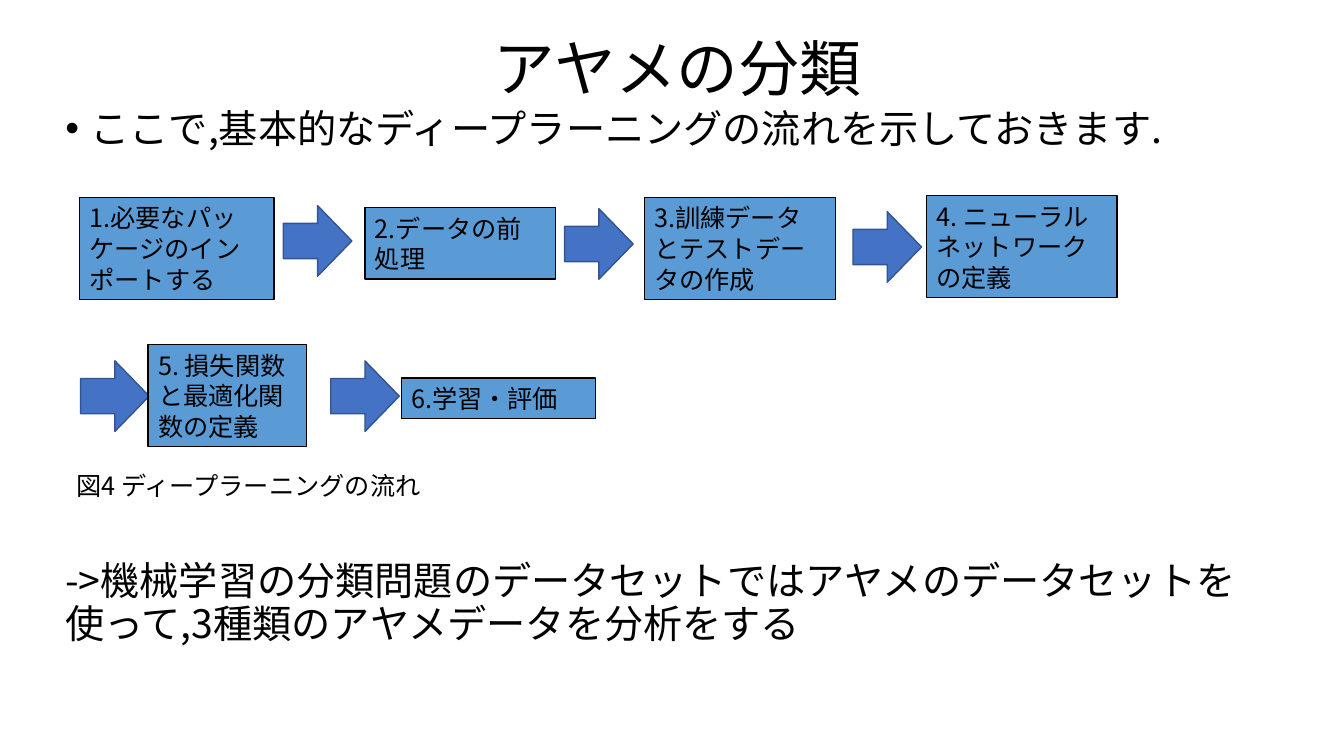
import pptx
import pptx.dml.color
import pptx.enum.shapes
import pptx.enum.text
import pptx.oxml
import pptx.oxml.ns
import pptx.util
from pptx.util import Inches

RGBColor = pptx.dml.color.RGBColor
BLACK = RGBColor(0x00, 0x00, 0x00)
STEP_BLUE = RGBColor(0x5B, 0x9B, 0xD5)
ARROW_BLUE = RGBColor(0x44, 0x72, 0xC4)
ARROW_EDGE = RGBColor(0x32, 0x54, 0x91)
FONT = "Noto Sans CJK JP"
ANCHOR = pptx.enum.text.MSO_ANCHOR
AUTO_SIZE = pptx.enum.text.MSO_AUTO_SIZE
SHAPE = pptx.enum.shapes.MSO_SHAPE

STEPS = [
    ("1.必要なパッケージのインポートする", 0, 0.02, 1.93, 1.01),
    ("2.データの前処理", 2.83, 0.12, 1.89, 0.71),
    ("3.訓練データとテストデータの作成", 5.6, 0.02, 1.9, 1.01),
    ("4. ニューラルネットワークの定義", 8.4, 0, 1.89, 1.01),
    ("5. 損失関数と最適化関数の定義", 0.68, 1.48, 1.57, 1.01),
    ("6.学習・評価", 3.19, 1.81, 1.93, 0.4),
]
ARROWS = [(2.01, 0.11), (4.8, 0.14), (7.66, 0.17), (0, 1.65), (2.48, 1.65)]


def add_text(p, text, size, spacing):
    """Add one run in the slide font with a fixed line pitch."""
    p.alignment = pptx.enum.text.PP_ALIGN.LEFT
    p.line_spacing = pptx.util.Pt(spacing)
    r = p.add_run()
    r.text = text
    r.font.size = pptx.util.Pt(size)
    r.font.name = FONT
    r.font.color.rgb = BLACK
    ea = pptx.oxml.parse_xml(
        f'<a:ea {pptx.oxml.ns.nsdecls("a")} typeface="{FONT}"/>')
    r.font._element.find(pptx.oxml.ns.qn("a:latin")).addnext(ea)


def add_bullet(p):
    """Give a paragraph a hanging round bullet."""
    pPr = p._p.get_or_add_pPr()
    pPr.set("marL", str(Inches(0.25)))
    pPr.set("indent", str(Inches(-0.25)))
    ns = pptx.oxml.ns.nsdecls("a")
    pPr.append(pptx.oxml.parse_xml(f'<a:buFont {ns} typeface="Arial"/>'))
    pPr.append(pptx.oxml.parse_xml(f'<a:buChar {ns} char="•"/>'))


def add_shape(s, kind, box, fill, edge):
    """Add a flat preset shape with a thin outline."""
    sp = s.shapes.add_shape(kind, *box)
    sp.shadow.inherit = False
    sp.fill.solid()
    sp.fill.fore_color.rgb = fill
    sp.line.color.rgb = edge
    sp.line.width = pptx.util.Pt(1)
    return sp


def add_title(s, left, top, width, height):
    """Place the title, pushed in from the left edge."""
    sp = s.shapes.title
    sp.left, sp.top, sp.width, sp.height = left, top, width, height
    tf = sp.text_frame
    tf.margin_left = Inches(4.1)
    tf.vertical_anchor = ANCHOR.MIDDLE
    add_text(tf.paragraphs[0], "アヤメの分類", 44, 48.3)


def add_body(s, left, top, width, height):
    """Place the opening bullet and the closing remark around the flow."""
    tf = s.shapes.add_textbox(left, top, width, height).text_frame
    tf.word_wrap = True
    p = tf.paragraphs[0]
    add_bullet(p)
    add_text(p, "ここで,基本的なディープラーニングの流れを示しておきます.", 28, 30.7)
    p = tf.add_paragraph()
    p.space_before = pptx.util.Pt(292)
    add_text(p, "->機械学習の分類問題のデータセットではアヤメのデータセットを使って,"
             "3種類のアヤメデータを分析をする", 28, 30.7)


def add_flow(s, left, top):
    """Draw the six steps and the arrows between them."""
    for x, y in ARROWS:
        box = left + Inches(x), top + Inches(y), Inches(0.7), Inches(0.68)
        add_shape(s, SHAPE.DOWN_ARROW, box, ARROW_BLUE, ARROW_EDGE).rotation = 270
    for text, x, y, width, height in STEPS:
        box = left + Inches(x), top + Inches(y), Inches(width), Inches(height)
        tf = add_shape(s, SHAPE.RECTANGLE, box, STEP_BLUE, BLACK).text_frame
        tf.word_wrap = True
        tf.auto_size = AUTO_SIZE.SHAPE_TO_FIT_TEXT
        tf.vertical_anchor = ANCHOR.TOP
        add_text(tf.paragraphs[0], text, 18, 21.8)


def add_caption(s, left, top, width, height):
    """Place the figure caption."""
    tf = s.shapes.add_textbox(left, top, width, height).text_frame
    tf.word_wrap = True
    tf.auto_size = AUTO_SIZE.SHAPE_TO_FIT_TEXT
    add_text(tf.paragraphs[0], "図4 ディープラーニングの流れ", 18, 21.8)


def main():
    """Build and save the slide."""
    prs = pptx.Presentation()
    prs.slide_width, prs.slide_height = Inches(13.33), Inches(7.5)
    s = prs.slides.add_slide(prs.slide_layouts[5])
    add_title(s, Inches(0.79), Inches(0.11), Inches(11.5), Inches(1.17))
    add_body(s, Inches(0.55), Inches(1.03), Inches(11.86), Inches(6.24))
    add_flow(s, Inches(0.79), Inches(1.94))
    add_caption(s, Inches(0.66), Inches(4.61), Inches(4.84), Inches(0.4))
    prs.save("out.pptx")


if __name__ == "__main__":
    main()
